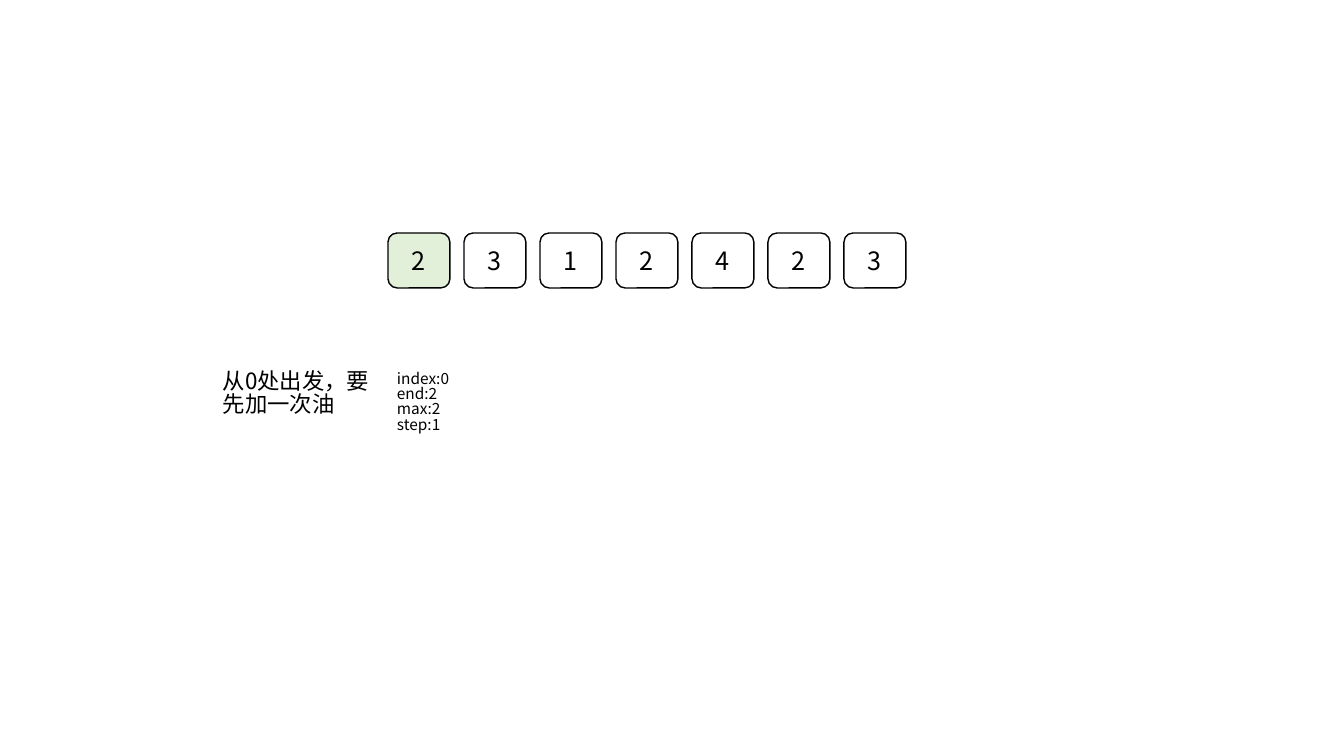
"""Build the jump game slide: a row of numbers, a note and the state."""
from lxml.etree import SubElement
from pptx import Presentation
from pptx.dml.color import RGBColor
from pptx.enum.shapes import MSO_SHAPE
from pptx.enum.text import MSO_ANCHOR, MSO_AUTO_SIZE, PP_ALIGN
from pptx.oxml.ns import qn
from pptx.util import Emu, Pt

NUMS = [2, 3, 1, 2, 4, 2, 3]
START = 0
NOTES = [
    ("从0处出发，要先加一次油", 16, (213, 367, 175, 65)),
    ("index:0\nend:2\nmax:2\nstep:1", 11, (387, 367, 77, 85)),
]
ROW = {"left": 388, "top": 233, "wide": 62, "high": 55, "step": 76}
COLORS = {"ink": "000000", "plain": "FFFFFF", "start": "E2F0D9"}
FONT = "Noto Sans CJK SC"
SCALE = 914400 / 100.8


def px(num):
    return Emu(round(num * SCALE))


def color(name):
    return RGBColor.from_string(COLORS[name])


def style(frame, size, align, space=None):
    for para in frame.paragraphs:
        para.alignment = align
        para.line_spacing = space
        for run in para.runs:
            run.font.size = Pt(size)
            run.font.name = FONT
            run.font.color.rgb = color("ink")
            SubElement(run.font._element, qn("a:ea"), typeface=FONT)


def add_cell(slide, spot, num):
    left = ROW["left"] + spot * ROW["step"]
    area = (left, ROW["top"], ROW["wide"], ROW["high"])
    cell = slide.shapes.add_shape(MSO_SHAPE.ROUNDED_RECTANGLE, *map(px, area))
    cell.shadow.inherit = False
    cell.fill.solid()
    cell.fill.fore_color.rgb = color("start" if spot == START else "plain")
    cell.line.color.rgb = color("ink")
    cell.line.width = Pt(1)
    frame = cell.text_frame
    frame.text = str(num)
    frame.vertical_anchor = MSO_ANCHOR.MIDDLE
    style(frame, 18, PP_ALIGN.CENTER)


def add_note(slide, text, size, area):
    frame = slide.shapes.add_textbox(*map(px, area)).text_frame
    frame.word_wrap = True
    frame.auto_size = MSO_AUTO_SIZE.SHAPE_TO_FIT_TEXT
    frame.text = text
    style(frame, size, PP_ALIGN.LEFT, 0.83)


def main():
    deck = Presentation()
    deck.slide_width, deck.slide_height = px(1344), px(756)
    slide = deck.slides.add_slide(deck.slide_layouts[6])
    for spot, num in enumerate(NUMS):
        add_cell(slide, spot, num)
    for note in NOTES:
        add_note(slide, *note)
    deck.save("out.pptx")


if __name__ == "__main__":
    main()
